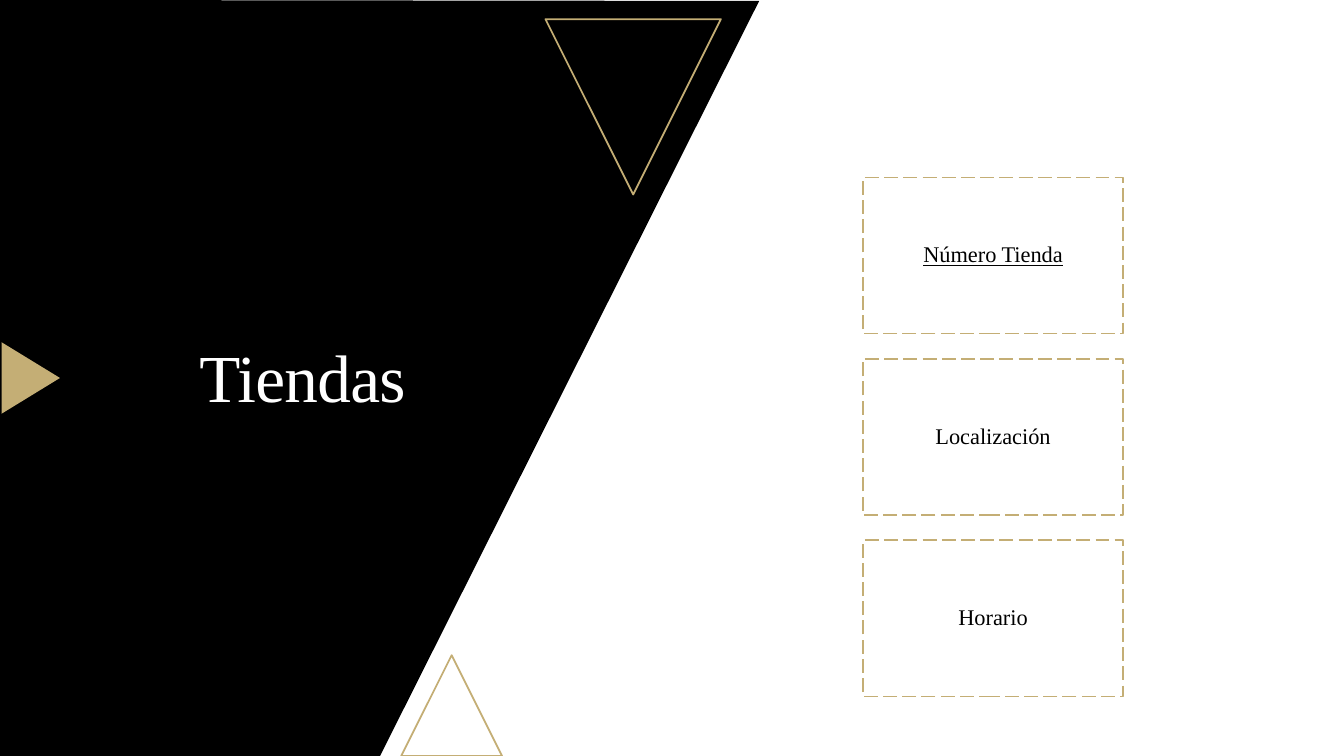
from pptx import Presentation
from pptx.dml.color import RGBColor as RGB
from pptx.enum.dml import MSO_LINE
from pptx.enum.shapes import MSO_SHAPE as SHAPE
from pptx.enum.text import MSO_ANCHOR as ANCHOR, PP_ALIGN as ALIGN
from pptx.util import Inches, Pt

THEME = {
    "black": RGB(0, 0, 0),
    "white": RGB(255, 255, 255),
    "gold": RGB.from_string("C4AE75"),
    "font": "Times New Roman",
    "title": Pt(48),
    "label": Pt(16),
    "line": Pt(1.25),
}


def add_gold_shape(s, kind, box, filled=False, rotation=0):
    sp = s.shapes.add_shape(kind, *map(Inches, box))
    sp.shadow.inherit = False
    sp.rotation = rotation
    if filled:
        sp.fill.solid()
        sp.fill.fore_color.rgb = THEME["gold"]
        sp.line.fill.background()
    else:
        sp.fill.background()
        sp.line.color.rgb = THEME["gold"]
        sp.line.width = THEME["line"]
    return sp


def add_centred_text(sp, text, size, color):
    tf = sp.text_frame
    tf.word_wrap = True
    tf.vertical_anchor = ANCHOR.MIDDLE
    p = tf.paragraphs[0]
    p.alignment = ALIGN.CENTER
    p.line_spacing = 0.9
    r = p.add_run()
    r.text = text
    r.font.name = THEME["font"]
    r.font.size = size
    r.font.color.rgb = color
    return r


prs = Presentation()
prs.slide_width, prs.slide_height = Inches(13.33), Inches(7.5)
s = prs.slides.add_slide(prs.slide_layouts[6])
s.background.fill.solid()
s.background.fill.fore_color.rgb = THEME["white"]

edge = s.shapes.build_freeform(0, 0, scale=Inches(1) / 100)
edge.add_line_segments([(753, 1), (377, 750), (0, 750)], close=True)
panel = edge.convert_to_shape()
panel.shadow.inherit = False
panel.fill.solid()
panel.fill.fore_color.rgb = THEME["black"]
panel.line.fill.background()

add_gold_shape(s, SHAPE.ISOSCELES_TRIANGLE, (3.98, 6.5, 1, 1))
add_gold_shape(s, SHAPE.ISOSCELES_TRIANGLE, (5.41, 0.19, 1.74, 1.74), rotation=180)
add_gold_shape(s, SHAPE.ISOSCELES_TRIANGLE, (-0.05, 3.46, 0.71, 0.58), filled=True, rotation=90)

left, top, width, height, pitch = 8.56, 1.76, 2.58, 1.55, 1.8
for row, label in enumerate(["Número Tienda", "Localización", "Horario"]):
    sp = add_gold_shape(s, SHAPE.RECTANGLE, (left, top + row * pitch, width, height))
    sp.line.dash_style = MSO_LINE.LONG_DASH
    tf = sp.text_frame
    tf.margin_left = tf.margin_right = tf.margin_top = tf.margin_bottom = Inches(0.07)
    r = add_centred_text(sp, label, THEME["label"], THEME["black"])
    if row == 0:
        r.font.underline = True

title = s.shapes.add_textbox(*map(Inches, (0.6, 2.14, 4.8, 3.28)))
r = add_centred_text(title, "Tiendas", THEME["title"], THEME["white"])
r.font._element.set("spc", "-50")

prs.save("out.pptx")
